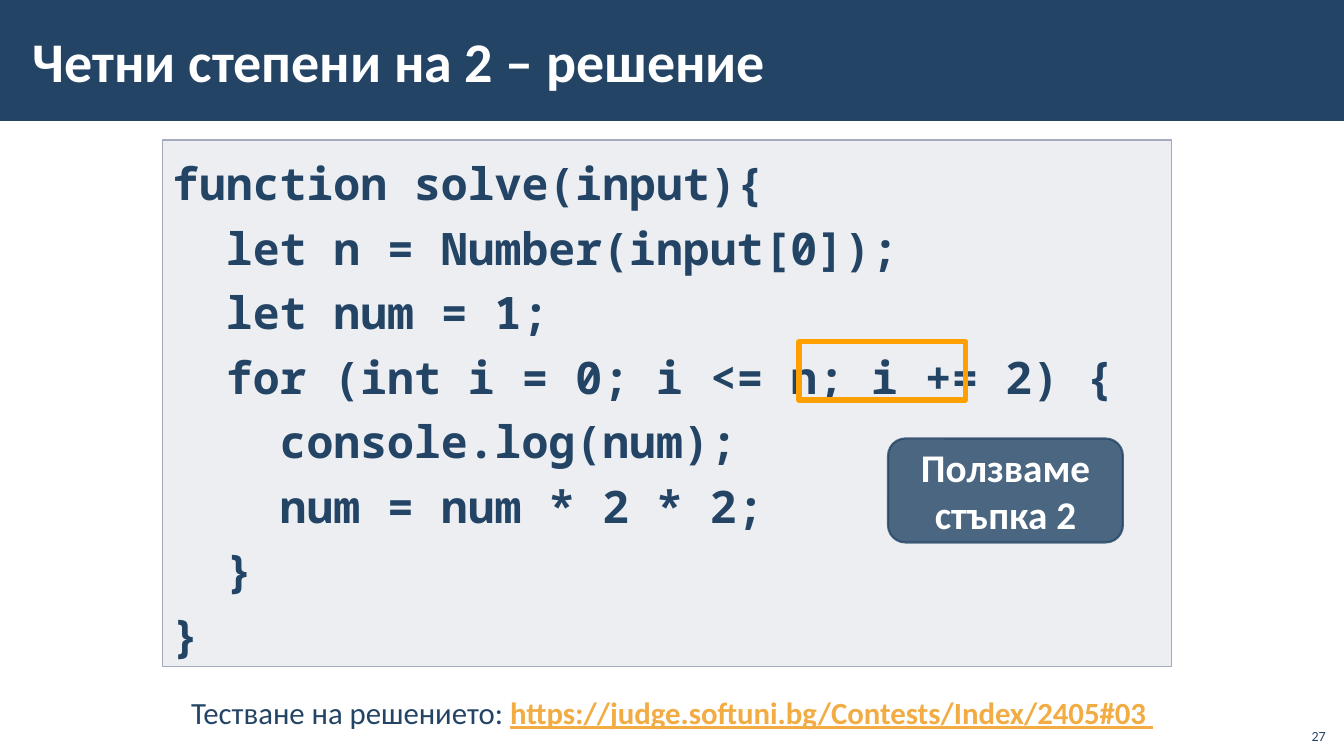
from lxml.etree import SubElement
from pptx import Presentation
from pptx.dml.color import RGBColor
from pptx.enum.shapes import MSO_SHAPE
from pptx.enum.text import MSO_ANCHOR, PP_ALIGN
from pptx.oxml.ns import qn
from pptx.util import Cm, Pt

NAVY = RGBColor(0x23, 0x44, 0x65)
GREY = RGBColor(0xA3, 0xAB, 0xBC)
ORANGE = RGBColor(0xFF, 0xA0, 0x00)
LINK = RGBColor(0xF2, 0xAC, 0x44)
WHITE = RGBColor(0xFF, 0xFF, 0xFF)

CODE = [
    "function solve(input){",
    "  let n = Number(input[0]);",
    "  let num = 1;",
    "  for (int i = 0; i <= n; i += 2) {",
    "    console.log(num);",
    "    num = num * 2 * 2;",
    "  }",
    "}",
]

prs = Presentation()
prs.slide_width, prs.slide_height = Cm(33.87), Cm(19.05)
s = prs.slides.add_slide(prs.slide_layouts[6])


def add_box(kind, at, fill=None, line=None, width=1, fill_alpha=100, line_alpha=100):
    sp = s.shapes.add_shape(kind, *map(Cm, at))
    sp.shadow.inherit = False
    for fmt, color, alpha in ((sp.fill, fill, fill_alpha), (sp.line.fill, line, line_alpha)):
        if color is None:
            fmt.background()
            continue
        fmt.solid()
        fmt.fore_color.rgb = color
        if alpha < 100:
            owner = sp.line._get_or_add_ln() if color is line and fmt is not sp.fill and fmt is not None and fmt == sp.line.fill else sp._element.spPr
            clr = owner.find(qn("a:solidFill")).find(qn("a:srgbClr"))
            SubElement(clr, qn("a:alpha")).set("val", str(alpha * 1000))
    if line is not None:
        sp.line.width = Pt(width)
    return sp


def add_run(p, text, size, color, bold=False, font="Calibri"):
    r = p.add_run()
    r.text = text
    r.font.name = font
    r.font.size = Pt(size)
    r.font.bold = bold
    r.font.color.rgb = color
    return r


add_box(MSO_SHAPE.RECTANGLE, (0, 0, 33.87, 3.05), NAVY)

code = add_box(MSO_SHAPE.RECTANGLE, (4.09, 3.53, 25.43, 13.26), GREY, GREY, fill_alpha=20)
tf = code.text_frame
tf.word_wrap = True
tf.vertical_anchor = MSO_ANCHOR.TOP
for i, text in enumerate(CODE):
    p = tf.add_paragraph() if i else tf.paragraphs[0]
    p.alignment = PP_ALIGN.LEFT
    p.line_spacing = 1.2
    add_run(p, text, 32, NAVY, True, "Noto Sans Mono")

add_box(MSO_SHAPE.RECTANGLE, (20.14, 8.61, 4.19, 1.47), line=ORANGE, width=4)

callout = add_box(MSO_SHAPE.ROUNDED_RECTANGLE, (22.38, 11.05, 5.92, 2.62),
                  NAVY, NAVY, 1.5, 80, 80)
tf = callout.text_frame
tf.word_wrap = True
tf.vertical_anchor = MSO_ANCHOR.MIDDLE
p = tf.paragraphs[0]
p.alignment = PP_ALIGN.CENTER
add_run(p, "Ползваме стъпка 2", 28, WHITE, True)

labels = [
    ((0.53, 0.28, 27, 2.46), MSO_ANCHOR.MIDDLE, PP_ALIGN.LEFT,
     [("Четни степени на 2 – решение", 40, WHITE, True)]),
    ((32.64, 18.08, 1.02, 0.81), MSO_ANCHOR.BOTTOM, PP_ALIGN.RIGHT,
     [("27", 10, NAVY, False)]),
    ((3.07, 17.35, 27.74, 1.19), MSO_ANCHOR.TOP, PP_ALIGN.CENTER,
     [("Тестване на решението: ", 22, NAVY, False),
      ("https://judge.softuni.bg/Contests/Index/2405#03", 22, LINK, True),
      (" ", 22, LINK, False)]),
]
for at, anchor, align, runs in labels:
    tf = s.shapes.add_textbox(*map(Cm, at)).text_frame
    tf.word_wrap = True
    tf.vertical_anchor = anchor
    if anchor == MSO_ANCHOR.MIDDLE:
        tf.margin_left = tf.margin_right = Cm(0.3)
        tf.margin_top = tf.margin_bottom = Cm(0.1)
    p = tf.paragraphs[0]
    p.alignment = align
    for text, size, color, bold in runs:
        r = add_run(p, text, size, color, bold)
        r.font.underline = color == LINK

prs.save("out.pptx")
